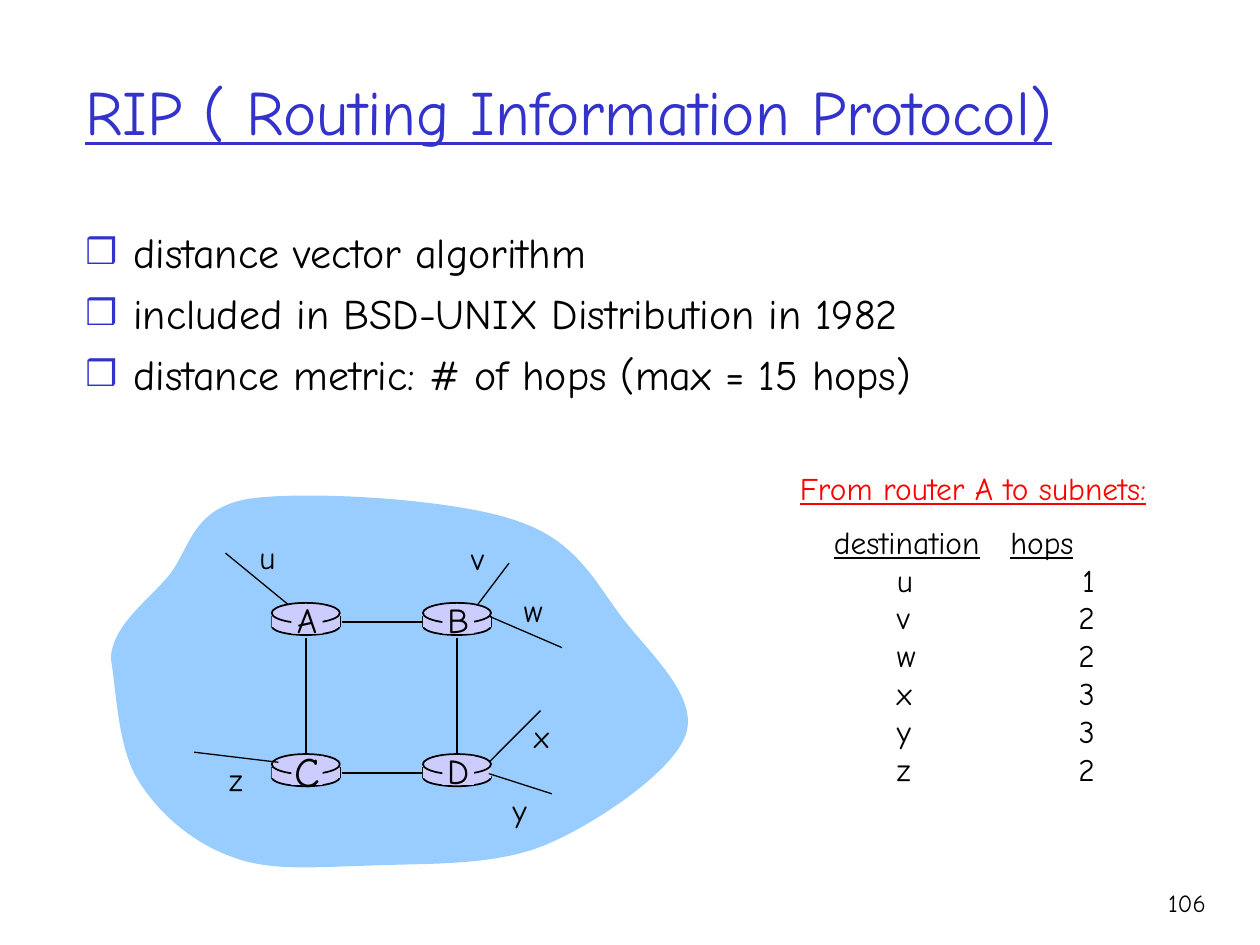
import dataclasses

import lxml.etree
import pptx
import pptx.dml.color
import pptx.enum.shapes
import pptx.enum.text
import pptx.oxml.ns
import pptx.util

ALIGN = pptx.enum.text.PP_ALIGN
ANCHOR = pptx.enum.text.MSO_ANCHOR
SHAPE = pptx.enum.shapes.MSO_SHAPE
CELL = pptx.util.Inches(10) // 100


@dataclasses.dataclass(frozen=True)
class Theme:
    """Colours, fonts and type sizes of the slide."""
    font: str = "Comic Neue"
    bullet: str = "Arial"
    ink: str = "000000"
    accent: str = "3333CC"
    alert: str = "FF0000"
    cloud: str = "99CCFF"
    router: str = "CCCCFF"
    title: int = 36
    body: int = 24
    node: int = 20
    label: int = 18
    number: int = 14
    edge: float = 1
    spoke: float = 0.75


@dataclasses.dataclass(frozen=True)
class Box:
    """An area in cells of a grid of 100 columns by 75 rows."""
    col: float
    row: float
    cols: float
    rows: float

    def inner(self, col, row, cols, rows):
        """Return an area placed relative to this one."""
        return Box(self.col + col, self.row + row, cols, rows)

    def emu(self):
        """Return left, top, width and height as slide lengths."""
        return [round(v * CELL) for v in (self.col, self.row, self.cols, self.rows)]


THEME = Theme()


def rgb(value):
    """Return a colour object for a hex value."""
    return pptx.dml.color.RGBColor.from_string(value)


def add_element(parent, tag, **attributes):
    """Append a drawing element with attributes."""
    child = lxml.etree.SubElement(parent, pptx.oxml.ns.qn(tag))
    for name, value in attributes.items():
        child.set(name, value)
    return child


def add_span(para, text, size, color=THEME.ink, underline=False):
    """Append one styled run to a paragraph."""
    span = para.add_run()
    span.text = text
    span.font.name = THEME.font
    span.font.size = pptx.util.Pt(size)
    span.font.color.rgb = rgb(color)
    span.font.underline = underline


def add_frame(page, box, wrap=True, anchor=ANCHOR.TOP):
    """Add an empty text box and return its frame."""
    frame = page.shapes.add_textbox(*box.emu()).text_frame
    frame.word_wrap = wrap
    frame.vertical_anchor = anchor
    return frame


def add_label(page, box, text, size, align=ALIGN.LEFT, wrap=False, anchor=ANCHOR.TOP, **style):
    """Add a text box holding one line."""
    para = add_frame(page, box, wrap, anchor).paragraphs[0]
    para.alignment = align
    add_span(para, text, size, **style)


def paint(shape, fill, outline=None):
    """Set a flat fill and an optional outline."""
    shape.shadow.inherit = False
    shape.fill.solid()
    shape.fill.fore_color.rgb = rgb(fill)
    if outline:
        shape.line.color.rgb = rgb(outline)
        shape.line.width = pptx.util.Pt(THEME.edge)
    else:
        shape.line.fill.background()


def add_line(page, box, start, end, width):
    """Add a straight line between two points relative to a box."""
    x1, y1 = box.inner(*start, 0, 0).emu()[:2]
    x2, y2 = box.inner(*end, 0, 0).emu()[:2]
    line = page.shapes.add_connector(pptx.enum.shapes.MSO_CONNECTOR.STRAIGHT, x1, y1, x2, y2)
    line.line.color.rgb = rgb(THEME.ink)
    line.line.width = pptx.util.Pt(width)
    add_element(line._element.spPr, "a:effectLst")


def add_bullets(page, box, lines):
    """Add the bulleted list."""
    frame = add_frame(page, box)
    indent = pptx.util.Inches(0.38)
    for index, text in enumerate(lines):
        para = frame.add_paragraph() if index else frame.paragraphs[0]
        para.space_before = pptx.util.Pt(6 if index else 0)
        props = para._p.get_or_add_pPr()
        props.set("marL", str(indent))
        props.set("indent", str(-indent))
        add_element(add_element(props, "a:buClr"), "a:srgbClr", val=THEME.accent)
        add_element(props, "a:buSzPct", val="85000")
        add_element(props, "a:buFont", typeface=THEME.bullet)
        add_element(props, "a:buChar", char="❒")
        add_span(para, text, THEME.body)


def add_cloud(page, box):
    """Add the curved cloud, turning each three line segments into one curve."""
    start = (0, 13.4)
    knots = [
        (0.1, 10.8), (2.7, 9), (4.5, 6.9), (6.3, 4.8), (6.3, 1.5), (10.9, 0.7),
        (15.5, 0), (27.2, 0.7), (32.1, 2.4), (37.1, 4), (38.5, 7.5), (40.8, 10.4),
        (43, 13.2), (46.7, 16.5), (45.6, 19.5), (44.5, 22.4), (38.5, 26.5), (34.4, 28.2),
        (30.2, 29.9), (24.7, 29.6), (20.6, 29.8), (16.4, 29.9), (12.7, 30.3), (9.6, 29.1),
        (6.5, 28), (3.7, 25.6), (2.1, 22.9), (0.5, 20.3), (0.4, 15.4), start,
    ]
    points = [box.inner(*knot, 0, 0).emu()[:2] for knot in [start, *knots]]
    builder = page.shapes.build_freeform(*points[0])
    builder.add_line_segments(points[1:], close=True)
    cloud = builder.convert_to_shape()
    segments = list(cloud._element.iter(pptx.oxml.ns.qn("a:lnTo")))
    for first in range(0, len(segments), 3):
        trio = segments[first:first + 3]
        curve = lxml.etree.Element(pptx.oxml.ns.qn("a:cubicBezTo"))
        trio[0].addprevious(curve)
        for segment in trio:
            curve.append(segment[0])
            segment.getparent().remove(segment)
    paint(cloud, THEME.cloud)


def add_router(page, box, name, size, sides):
    """Add a disc-shaped router with its letter."""
    add_shape = page.shapes.add_shape
    wide, side, deep = box.cols, 1.05, 0.85
    paint(add_shape(SHAPE.OVAL, *box.inner(0, 1.15, wide, 1.4).emu()), THEME.router, THEME.ink)
    for edge in (0, wide)[:sides]:
        add_line(page, box, (edge, side), (edge, side + deep), THEME.edge)
    paint(add_shape(SHAPE.RECTANGLE, *box.inner(0, side, wide, deep).emu()), THEME.router)
    paint(add_shape(SHAPE.OVAL, *box.inner(0, 0, wide, 1.6).emu()), THEME.router, THEME.ink)
    paint(add_shape(SHAPE.RECTANGLE, *box.inner(1.55, 0.15, 2.5, 2.3).emu()), THEME.router)
    add_label(page, box.inner(0.8, -0.9, 4, 4.4), name, size, ALIGN.CENTER, anchor=ANCHOR.MIDDLE)


def add_network(page, box):
    """Add the cloud, four linked routers and their subnets."""
    add_cloud(page, box)
    left, top, pitch, wide, deep = 12.77, 8.95, 12, 5.4, 2.55
    for index, name in enumerate("ABCD"):
        row, col = divmod(index, 2)
        place = box.inner(left + col * pitch, top + row * pitch, wide, deep)
        size = THEME.body if name == "C" else THEME.node
        add_router(page, place, name, size, sides=1 if name == "D" else 2)
    for step in (0, pitch):
        middle, level = left + wide / 2 + step, top + 1.5 + step
        add_line(page, box, (middle, top + deep + 0.2), (middle, top + pitch), THEME.edge)
        add_line(page, box, (left + wide + 0.15, level), (left + pitch, level), THEME.edge)
    subnets = [
        ("u", (14.1, 9.1), (9.1, 5), (10.8, 3.3)),
        ("v", (29.1, 9.1), (31.6, 5.8), (27.6, 3.4)),
        ("w", (30, 10), (35.8, 12.5), (31.8, 7.5)),
        ("x", (30, 21.6), (34.1, 17.5), (32.6, 17.5)),
        ("y", (30, 22.5), (35, 24.1), (30.9, 23.4)),
        ("z", (13.3, 21.6), (6.6, 20.8), (8.4, 20.9)),
    ]
    for name, start, end, corner in subnets:
        add_line(page, box, start, end, THEME.spoke)
        add_label(page, box.inner(*corner, 3.3, 4), name, THEME.label)


def add_hops(page, box, hops):
    """Add the heading and the tabbed list of hops."""
    add_label(page, box.inner(0, 0, box.cols, 4), "From router A to subnets:", THEME.label,
              color=THEME.alert, underline=True)
    frame = add_frame(page, box.inner(2.7, 4.3, 22.8, 25), wrap=False)
    rows = [("destination", "\t", "hops")] + [(f"\t{name}", "\t", count) for name, count in hops]
    for index, (name, gap, count) in enumerate(rows):
        para = frame.add_paragraph() if index else frame.paragraphs[0]
        tabs = add_element(para._p.get_or_add_pPr(), "a:tabLst")
        stops = [(5, "l"), (20.7, "r")] if index else [(14, "l")]
        for stop, align in stops:
            add_element(tabs, "a:tab", pos=str(round(stop * CELL)), algn=align)
        for text in (name, gap, count):
            add_span(para, text, THEME.label, underline=not index and text != gap)


def main():
    """Build the slide and save it."""
    deck = pptx.Presentation()
    deck.slide_width, deck.slide_height = 100 * CELL, 75 * CELL
    page = deck.slides.add_slide(deck.slide_layouts[6])
    add_label(page, Box(5.8, 2.5, 89.4, 12.5), "RIP ( Routing Information Protocol)", THEME.title,
              wrap=True, anchor=ANCHOR.MIDDLE, color=THEME.accent, underline=True)
    add_bullets(page, Box(5.8, 17.5, 90, 18.5), [
        "distance vector algorithm",
        "included in BSD-UNIX Distribution in 1982",
        "distance metric: # of hops (max = 15 hops)",
    ])
    add_network(page, Box(8.8, 38.9, 46.7, 30.3))
    add_hops(page, Box(62.5, 36.7, 29.7, 29.3), zip("uvwxyz", "122332"))
    add_label(page, Box(89.3, 70, 7.4, 5), "106", THEME.number, ALIGN.RIGHT, wrap=True)
    deck.save("out.pptx")


if __name__ == "__main__":
    main()
